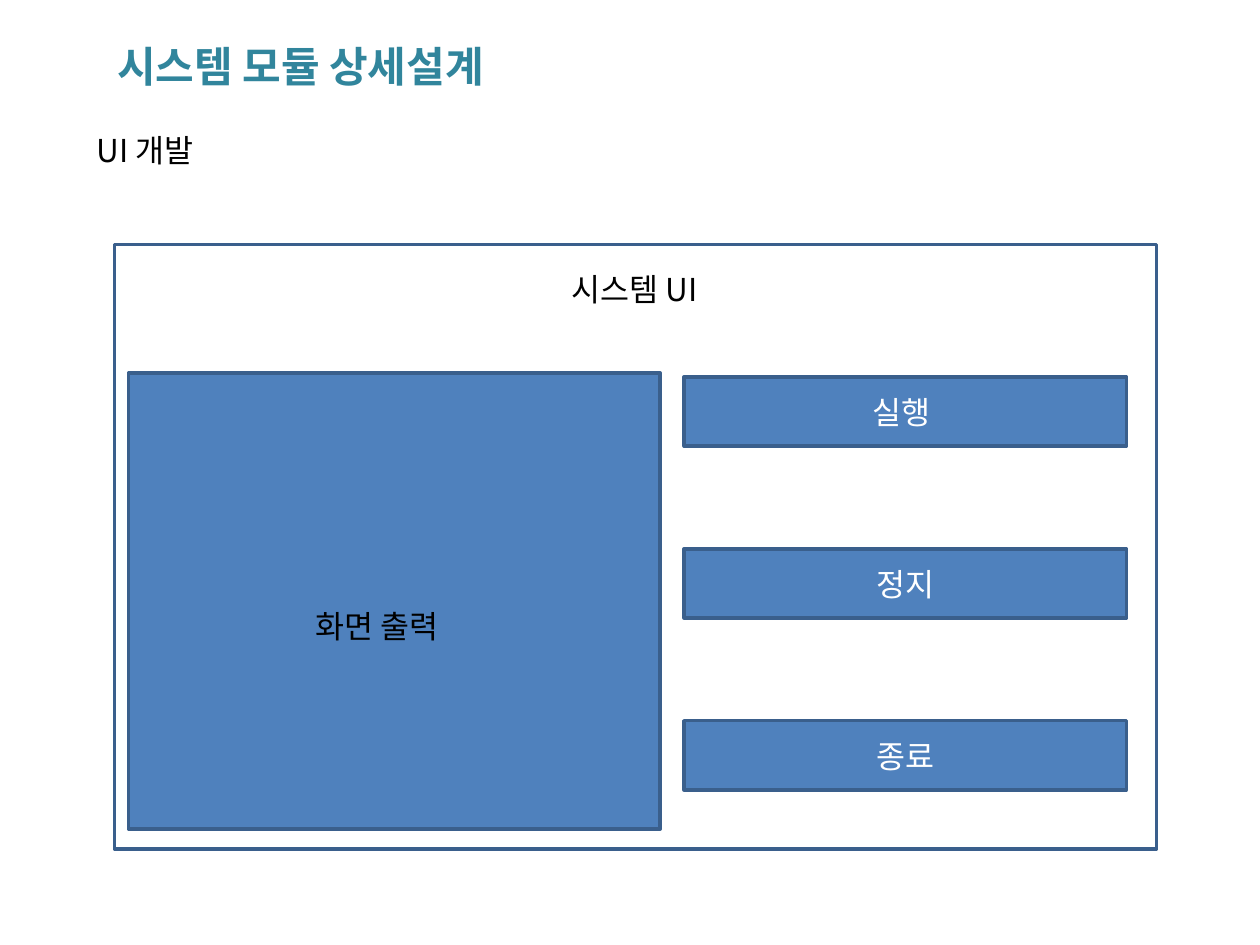
from dataclasses import dataclass

from lxml.etree import SubElement
from pptx import Presentation
from pptx.dml.color import RGBColor
from pptx.enum.shapes import MSO_SHAPE
from pptx.enum.text import MSO_ANCHOR, PP_ALIGN
from pptx.oxml.ns import qn
from pptx.util import Inches, Pt


@dataclass(frozen=True)
class Theme:
    font: str = "Noto Sans CJK KR"
    title: str = "31859C"
    text: str = "000000"
    button_text: str = "FFFFFF"
    fill: str = "4F81BD"
    line: str = "3A5F8C"
    title_size: int = 24
    body_size: int = 18
    line_width: int = 2


THEME = Theme()

TITLE = "시스템 모듈 상세설계"
TITLE_AREA = (0.43, 0.29, 3.91, 0.47)
LABELS = [  # text, area, alignment
    ("UI 개발", (0.67, 0.99, 8.98, 0.4), PP_ALIGN.LEFT),
    ("화면 출력", (1.46, 4.77, 3.07, 0.4), PP_ALIGN.CENTER),
    ("시스템 UI", (3.5, 2.09, 3.07, 0.4), PP_ALIGN.CENTER),
]
WINDOW_AREA = (0.91, 1.94, 8.27, 4.8)
SCREEN_AREA = (1.02, 2.96, 4.22, 3.62)
BUTTONS = ["실행 ", "정지", "종료"]
BUTTON_AREA = (5.43, 2.99, 3.51, 0.55)
BUTTON_PITCH = 1.365


def inches(area):
    return [Inches(length) for length in area]


def write(box, text, color, size=THEME.body_size, bold=False,
          align=PP_ALIGN.CENTER, anchor=MSO_ANCHOR.MIDDLE):
    frame = box.text_frame
    frame.text = text
    frame.word_wrap = True
    frame.vertical_anchor = anchor
    para = frame.paragraphs[0]
    para.alignment = align
    font = para.runs[0].font
    font.name, font.size, font.bold = THEME.font, Pt(size), bold
    font.color.rgb = RGBColor.from_string(color)
    # Hangul takes its typeface from the East Asian font slot.
    latin = para.runs[0].font._element.find(qn("a:latin"))
    east_asian = SubElement(latin.getparent(), qn("a:ea"), typeface=THEME.font)
    latin.addnext(east_asian)


def add_box(slide, area, fill=None):
    box = slide.shapes.add_shape(MSO_SHAPE.RECTANGLE, *inches(area))
    box.shadow.inherit = False
    if fill:
        box.fill.solid()
        box.fill.fore_color.rgb = RGBColor.from_string(fill)
    else:
        box.fill.background()
    box.line.color.rgb = RGBColor.from_string(THEME.line)
    box.line.width = Pt(THEME.line_width)
    return box


def main():
    deck = Presentation()
    deck.slide_width, deck.slide_height = Inches(10), Inches(7.5)
    slide = deck.slides.add_slide(deck.slide_layouts[5])

    title = slide.shapes.title
    title.left, title.top, title.width, title.height = inches(TITLE_AREA)
    write(title, TITLE, THEME.title, THEME.title_size, bold=True)

    add_box(slide, WINDOW_AREA)
    add_box(slide, SCREEN_AREA, THEME.fill)
    for text, area, align in LABELS:
        label = slide.shapes.add_textbox(*inches(area))
        write(label, text, THEME.text, align=align, anchor=MSO_ANCHOR.TOP)

    left, top, width, height = BUTTON_AREA
    for row, text in enumerate(BUTTONS):
        area = (left, top + row * BUTTON_PITCH, width, height)
        write(add_box(slide, area, THEME.fill), text, THEME.button_text)

    deck.save("out.pptx")


if __name__ == "__main__":
    main()
